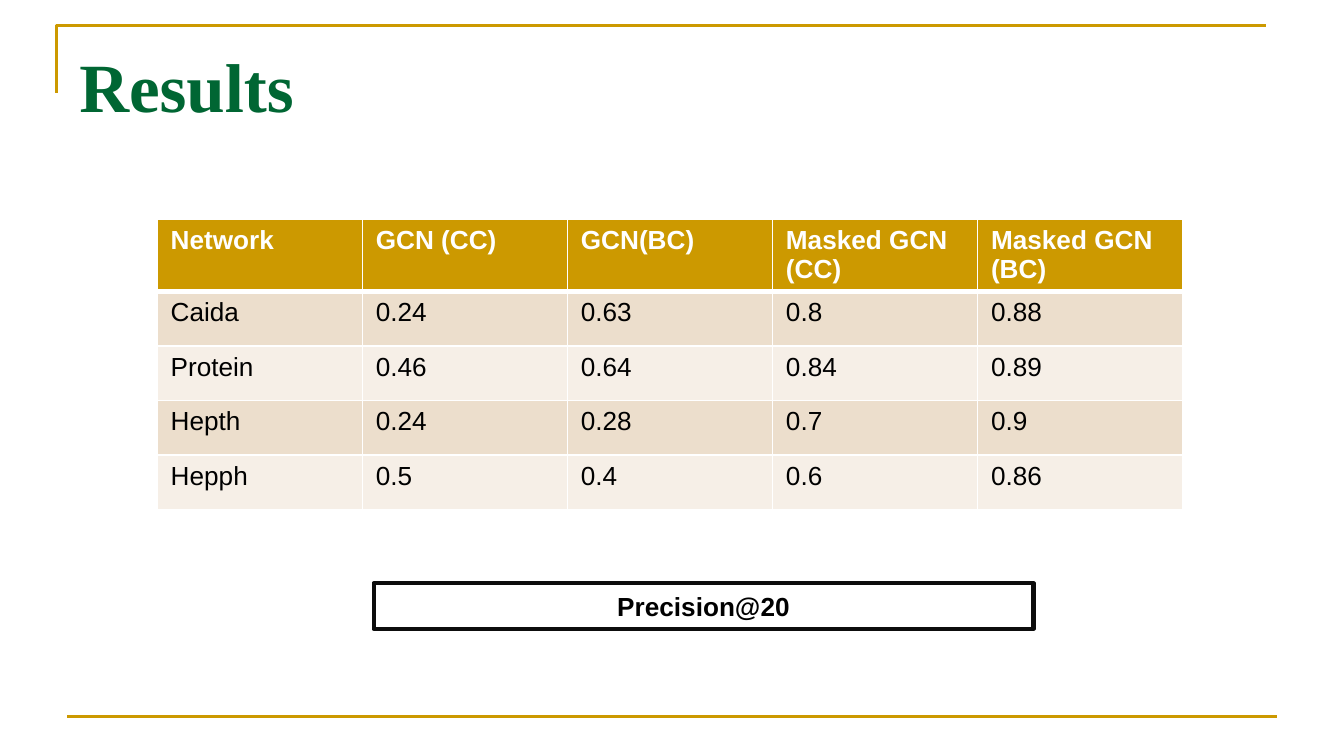
from dataclasses import dataclass
from lxml.etree import SubElement
from pptx import Presentation
from pptx.dml.color import RGBColor
from pptx.enum.shapes import MSO_CONNECTOR, MSO_SHAPE
from pptx.enum.text import MSO_ANCHOR, MSO_AUTO_SIZE, PP_ALIGN
from pptx.oxml.ns import qn
from pptx.util import Inches, Pt


@dataclass(frozen=True)
class Theme:
    gold: str = "CC9900"
    green: str = "006633"
    white: str = "FFFFFF"
    black: str = "000000"
    edge: str = "0D0D0D"
    bands: tuple = ("ECDECC", "F6EFE7")
    serif: str = "Times New Roman"
    sans: str = "Arial"
    head: int = 37
    body: int = 14


theme = Theme()


def write(frame, text, size=theme.body, face=theme.sans, color=theme.black,
          bold=False, align=PP_ALIGN.LEFT):
    para = frame.paragraphs[0]
    para.alignment = align
    run = para.add_run()
    run.text = text
    run.font.size = Pt(size)
    run.font.name = face
    run.font.bold = bold
    run.font.color.rgb = RGBColor.from_string(color)


def border(cell, side, width):
    line = SubElement(cell._tc.get_or_add_tcPr(), qn(f"a:{side}"), w=str(Pt(width)))
    fill = SubElement(line, qn("a:solidFill"))
    SubElement(fill, qn("a:srgbClr"), val=theme.white)


deck = Presentation()
deck.slide_width = Inches(10)
deck.slide_height = Inches(10) * 9 // 16
slide = deck.slides.add_slide(deck.slide_layouts[5])
shapes = slide.shapes

outline = shapes.build_freeform(Inches(0.42), Inches(0.69))
outline.add_line_segments(
    [(Inches(0.42), Inches(0.19)), (Inches(9.42), Inches(0.19))], close=False)
frame = outline.convert_to_shape()
frame.fill.background()
frame.shadow.inherit = False

rule = shapes.add_connector(
    MSO_CONNECTOR.STRAIGHT, Inches(0.5), Inches(5.33), Inches(9.5), Inches(5.33))

for item in (frame, rule):
    item.line.color.rgb = RGBColor.from_string(theme.gold)
    item.line.width = Pt(1.5)
SubElement(rule._element.spPr, qn("a:effectLst"))

title = shapes.title
title.left, title.top = Inches(0.5), Inches(0.23)
title.width, title.height = Inches(9), Inches(0.53)
text = title.text_frame
text.auto_size = MSO_AUTO_SIZE.NONE
text.vertical_anchor = MSO_ANCHOR.TOP
text.margin_left = text.margin_right = Inches(0.09)
text.margin_top = text.margin_bottom = Inches(0.09)
write(text, "Results", size=theme.head, face=theme.serif, color=theme.green, bold=True)

rows = [
    ("Network", "GCN (CC)", "GCN(BC)", "Masked GCN (CC)", "Masked GCN (BC)"),
    ("Caida", "0.24", "0.63", "0.8", "0.88"),
    ("Protein", "0.46", "0.64", "0.84", "0.89"),
    ("Hepth", "0.24", "0.28", "0.7", "0.9"),
    ("Hepph", "0.5", "0.4", "0.6", "0.86"),
]
table = shapes.add_table(
    len(rows), len(rows[0]), Inches(1.17), Inches(1.63), Inches(7.63), Inches(2.03)).table
for r, row in enumerate(rows):
    top = r == 0
    for c, label in enumerate(row):
        cell = table.cell(r, c)
        for side in ("lnL", "lnR", "lnT", "lnB"):
            thick = (top and side == "lnB") or (r == 1 and side == "lnT")
            border(cell, side, 3 if thick else 1)
        cell.fill.solid()
        cell.fill.fore_color.rgb = RGBColor.from_string(
            theme.gold if top else theme.bands[(r - 1) % 2])
        write(cell.text_frame, label, bold=top,
              color=theme.white if top else theme.black)

box = shapes.add_shape(
    MSO_SHAPE.RECTANGLE, Inches(2.78), Inches(4.34), Inches(4.91), Inches(0.34))
box.shadow.inherit = False
box.fill.background()
box.line.color.rgb = RGBColor.from_string(theme.edge)
box.line.width = Pt(2.25)
box.text_frame.word_wrap = True
box.text_frame.auto_size = MSO_AUTO_SIZE.SHAPE_TO_FIT_TEXT
write(box.text_frame, "Precision@20", bold=True, align=PP_ALIGN.CENTER)

deck.save("out.pptx")
